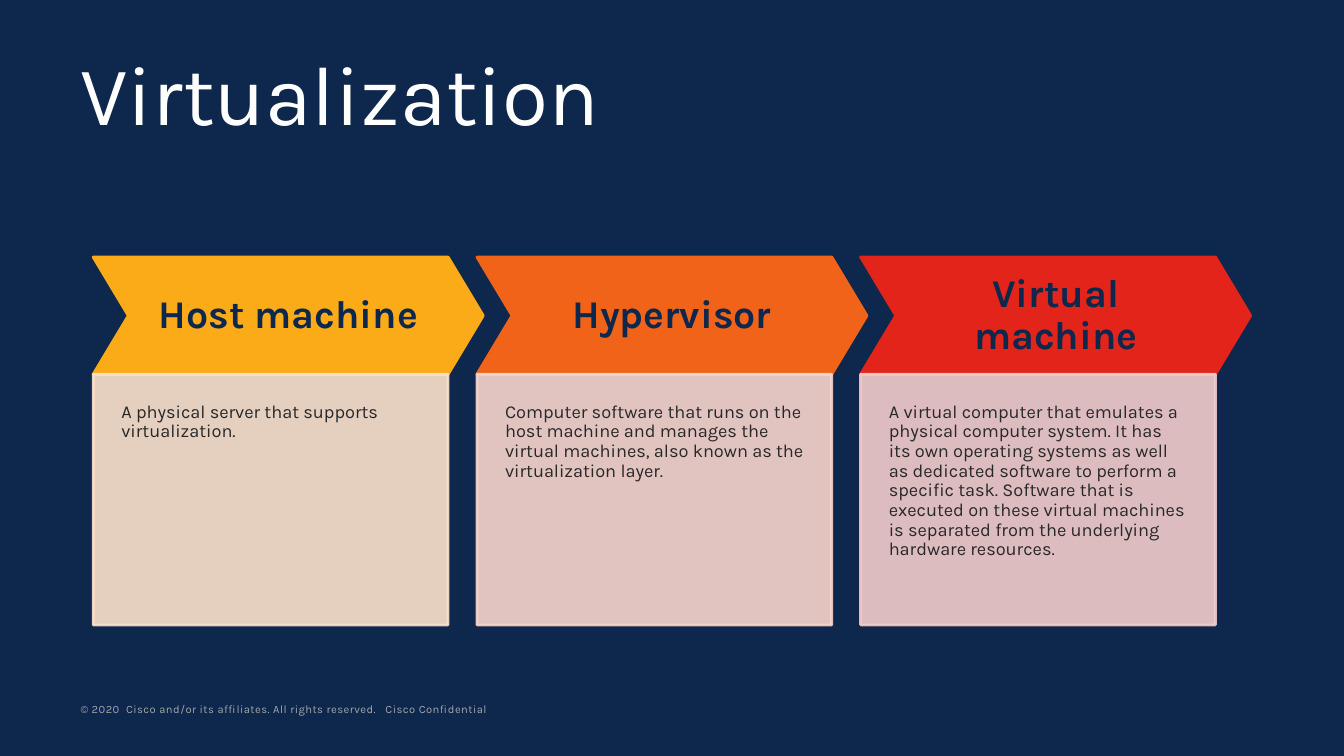
from lxml.etree import SubElement
from pptx import Presentation
from pptx.dml.color import RGBColor
from pptx.enum.shapes import MSO_SHAPE as Shape
from pptx.enum.text import MSO_ANCHOR as Anchor, PP_ALIGN as Align
from pptx.oxml.ns import qn
from pptx.util import Cm, Pt

NAVY = RGBColor(0x0D, 0x27, 0x4D)
WHITE = RGBColor(0xFF, 0xFF, 0xFF)
GREY = RGBColor(0xA6, 0xA6, 0xA6)
CHARCOAL = RGBColor(0x28, 0x28, 0x28)
AMBER = RGBColor(0xFB, 0xAB, 0x18)
ORANGE = RGBColor(0xF0, 0x63, 0x19)
RED = RGBColor(0xE3, 0x24, 0x1B)
PALE_AMBER = RGBColor(0xFD, 0xE2, 0xCC)
PALE_ORANGE = RGBColor(0xF9, 0xD6, 0xCC)
PALE_RED = RGBColor(0xF4, 0xCD, 0xCD)

# Text formats: frame, paragraph and font values
TITLE = {
    "frame": {"vertical_anchor": Anchor.MIDDLE},
    "paragraph": {"line_spacing": 0.9, "space_after": Pt(6)},
    "font": {"size": Pt(60)}, "color": WHITE,
}
FOOTER = {
    "frame": {"vertical_anchor": Anchor.BOTTOM, "margin_top": Cm(0.1), "margin_bottom": Cm(0.1)},
    "paragraph": {},
    "font": {"size": Pt(8)}, "color": GREY,
}
HEADING = {
    "frame": {"vertical_anchor": Anchor.MIDDLE, "margin_left": Cm(0.36), "margin_right": Cm(0.36),
              "margin_top": Cm(0.36), "margin_bottom": Cm(0.36)},
    "paragraph": {"alignment": Align.CENTER, "line_spacing": 0.9},
    "font": {"size": Pt(28), "bold": True}, "color": NAVY,
}
DESCRIPTION = {
    "frame": {"vertical_anchor": Anchor.TOP, "margin_left": Cm(0.71), "margin_right": Cm(0.71),
              "margin_top": Cm(0.71), "margin_bottom": Cm(1.42)},
    "paragraph": {"alignment": Align.LEFT, "line_spacing": 0.9},
    "font": {"size": Pt(13)}, "color": CHARCOAL,
}

STEPS = [
    ("Host machine", AMBER, PALE_AMBER,
     "A physical server that supports virtualization."),
    ("Hypervisor", ORANGE, PALE_ORANGE,
     "Computer software that runs on the host machine and manages the virtual machines, "
     "also known as the virtualization layer."),
    ("Virtual machine", RED, PALE_RED,
     "A virtual computer that emulates a physical computer system. It has its own operating "
     "systems as well as dedicated software to perform a specific task. Software that is "
     "executed on these virtual machines is separated from the underlying hardware resources."),
]


def write(holder, text, style):
    frame = holder.text_frame
    frame.word_wrap = True
    paragraph = frame.paragraphs[0]
    run = paragraph.add_run()
    run.text = text
    for target, values in ((frame, style["frame"]), (paragraph, style["paragraph"]),
                           (run.font, style["font"])):
        for key, value in values.items():
            setattr(target, key, value)
    run.font.name = "Karla"
    run.font.color.rgb = style["color"]
    return run


def add_panel(slide, kind, box, color, opacity=100):
    panel = slide.shapes.add_shape(kind, *box)
    panel.shadow.inherit = False
    panel.fill.solid()
    panel.fill.fore_color.rgb = color
    panel.line.color.rgb = color
    panel.line.width = Pt(2)
    if opacity < 100:
        for solid in panel.fill._xPr.iter(qn("a:solidFill")):
            SubElement(solid[0], qn("a:alpha"), val=str(opacity * 1000))
    return panel


def add_title(slide, box):
    write(slide.shapes.add_textbox(*box), "Virtualization", TITLE)


def add_footer(slide, box):
    notice = write(
        slide.shapes.add_textbox(*box),
        "© 2020  Cisco and/or its affiliates. All rights reserved.   Cisco Confidential", FOOTER)
    notice.font._element.set("spc", "30")


def add_step(slide, box, step):
    left, top, width, height = box
    heading, color, pale, description = step
    arrow_height = Cm(2.95)

    # Arrow reaches past the panel by its point
    arrow = add_panel(slide, Shape.CHEVRON, (left, top, width + Cm(0.89), arrow_height), color)
    arrow.adjustments[0] = 0.3
    write(arrow, heading, HEADING)

    # Description panel below the arrow
    panel_box = (left, top + arrow_height, width, height - arrow_height)
    write(add_panel(slide, Shape.RECTANGLE, panel_box, pale, 90), description, DESCRIPTION)


def add_process(slide, box):
    left, top, width, height = box
    gap = Cm(0.73)
    step_width = (width - gap * (len(STEPS) - 1)) // len(STEPS)
    for i, step in enumerate(STEPS):
        add_step(slide, (left + i * (step_width + gap), top, step_width, height), step)


def main():
    deck = Presentation()
    deck.slide_width, deck.slide_height = Cm(33.87), Cm(19.05)
    slide = deck.slides.add_slide(deck.slide_layouts[6])
    slide.background.fill.solid()
    slide.background.fill.fore_color.rgb = NAVY

    add_footer(slide, (Cm(1.78), Cm(17.55), Cm(12.6), Cm(0.58)))
    add_title(slide, (Cm(1.78), Cm(0.89), Cm(30.3), Cm(3.15)))
    add_process(slide, (Cm(2.35), Cm(6.48), Cm(28.28), Cm(9.27)))
    deck.save("out.pptx")


if __name__ == "__main__":
    main()
